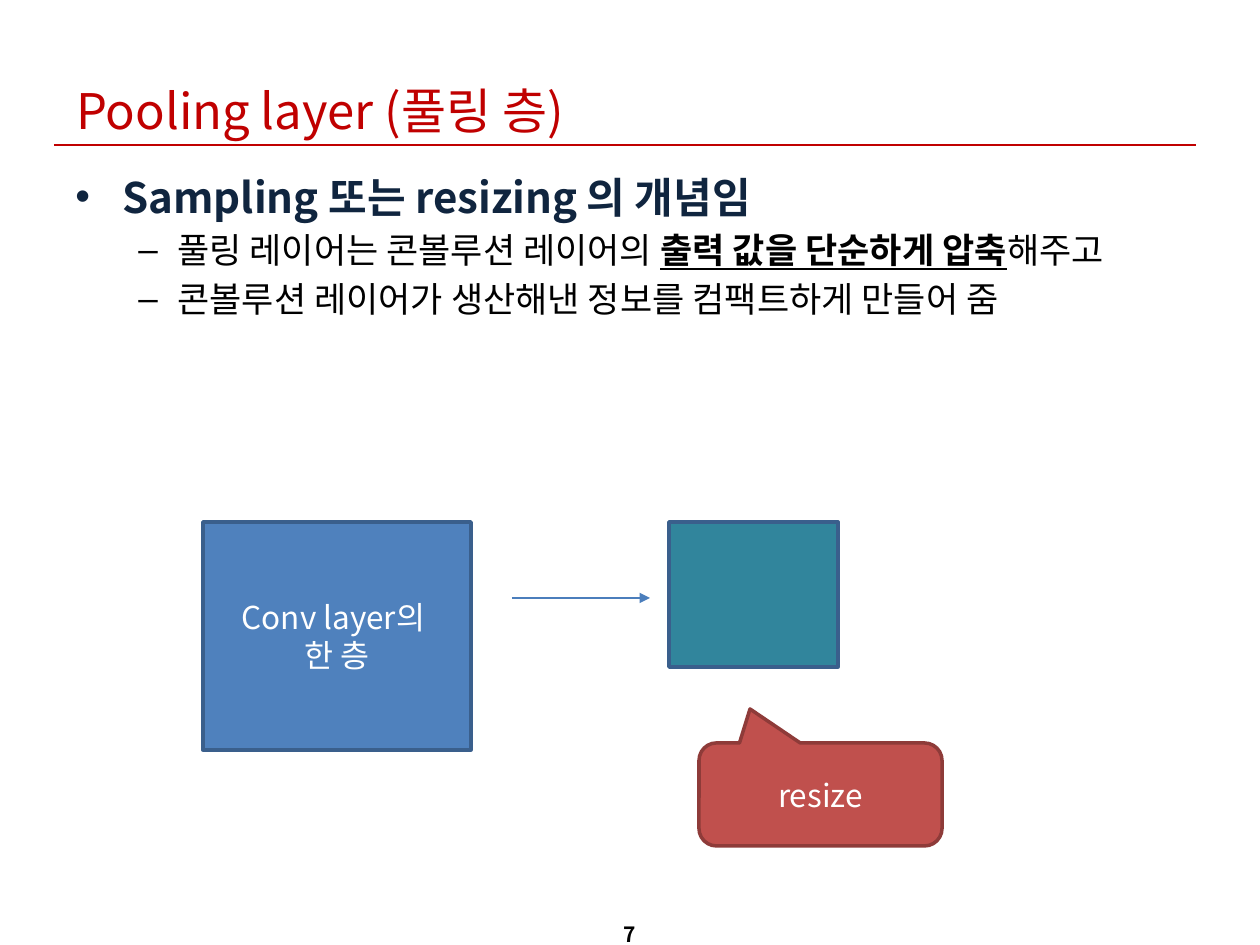
from dataclasses import dataclass

from pptx import Presentation, util as u
from pptx.dml.color import RGBColor
from pptx.enum import shapes, text
from pptx.oxml.ns import qn

SCALE = 914400 / 126  # EMU per px


@dataclass(frozen=True)
class Theme:
    font: str = "Noto Sans CJK KR"
    red: str = "C00000"
    navy: str = "10253F"
    black: str = "000000"
    white: str = "FFFFFF"
    blue: str = "4F81BD"
    blue_edge: str = "3A5F8C"
    arrow: str = "4B7EBC"
    teal: str = "31859C"
    brick: str = "C0504D"
    brick_edge: str = "8E3B39"
    title: int = 28
    heading: int = 24
    detail: int = 20
    label: int = 18
    number: int = 12
    edge: float = 2
    hairline: float = 0.75


def px(*lengths):
    return [u.Emu(round(length * SCALE)) for length in lengths]


def add_text(paragraph, words, *, size, color, font, bold=False, underline=False):
    run = paragraph.add_run()
    run.text = words
    run.font.size = u.Pt(size)
    run.font.name = font
    run.font.bold = bold
    run.font.underline = underline
    run.font.color.rgb = RGBColor.from_string(color)
    props = run._r.get_or_add_rPr()
    east_asian = props.makeelement(qn("a:ea"), {"typeface": font})
    props.find(qn("a:latin")).addnext(east_asian)


class SlideBuilder:
    def __init__(self, slide, theme):
        self.slide = slide
        self.theme = theme

    def words(self, paragraph, words, size, color, **format):
        add_text(paragraph, words, size=size, color=color, font=self.theme.font, **format)

    def text_box(self, box, anchor=text.MSO_ANCHOR.TOP):
        frame = self.slide.shapes.add_textbox(*px(*box)).text_frame
        frame.word_wrap = True
        frame.vertical_anchor = anchor
        return frame

    def bullet(self, paragraph, runs, size, color, mark, left, hang, level=0):
        paragraph.level = level
        paragraph.space_before = u.Pt(size * 0.2)
        props = paragraph._p.get_or_add_pPr()
        margin, indent = px(left, -hang)
        props.set("marL", str(margin))
        props.set("indent", str(indent))
        props.append(props.makeelement(qn("a:buFont"), {"typeface": "Arial"}))
        props.append(props.makeelement(qn("a:buChar"), {"char": mark}))
        for words, format in runs:
            self.words(paragraph, words, size, color, **format)

    def block(self, kind, box, fill, edge, lines=()):
        block = self.slide.shapes.add_shape(kind, *px(*box))
        block.shadow.inherit = False
        block.fill.solid()
        block.fill.fore_color.rgb = RGBColor.from_string(fill)
        block.line.color.rgb = RGBColor.from_string(edge)
        block.line.width = u.Pt(self.theme.edge)
        frame = block.text_frame
        frame.vertical_anchor = text.MSO_ANCHOR.MIDDLE
        for index, words in enumerate(lines):
            paragraph = frame.add_paragraph() if index else frame.paragraphs[0]
            paragraph.alignment = text.PP_ALIGN.CENTER
            self.words(paragraph, words, self.theme.label, self.theme.white)
        return block

    def line(self, start, end, color, arrow=False):
        line = self.slide.shapes.add_connector(
            shapes.MSO_CONNECTOR.STRAIGHT, *px(*start, *end))
        line.line.color.rgb = RGBColor.from_string(color)
        line.line.width = u.Pt(self.theme.hairline)
        props = line._element.spPr
        if arrow:
            stroke = props.find(qn("a:ln"))
            stroke.append(stroke.makeelement(qn("a:tailEnd"), {"type": "triangle"}))
        props.append(props.makeelement(qn("a:effectLst"), {}))


def main():
    deck = Presentation()
    deck.slide_width, deck.slide_height = px(1260, 945)
    theme = Theme()
    page = SlideBuilder(deck.slides.add_slide(deck.slide_layouts[6]), theme)

    # Title and rule
    page.line((54, 145), (1196, 145), theme.red)
    title = page.text_box((64, 37, 1131, 109), text.MSO_ANCHOR.BOTTOM)
    page.words(title.paragraphs[0], "Pooling layer (풀링 층)", theme.title, theme.red)

    # Explanation
    explanation = page.text_box((63, 165, 1134, 711))
    page.bullet(explanation.paragraphs[0],
                [("Sampling 또는 resizing 의 개념임", {"bold": True})],
                theme.heading, theme.navy, "•", 47, 47)
    details = [
        [("풀링 레이어는 콘볼루션 레이어의 ", {}),
         ("출력 값을 단순하게 압축", {"bold": True, "underline": True}),
         ("해주고", {})],
        [("콘볼루션 레이어가 생산해낸 정보를 컴팩트하게 만들어 줌", {})],
    ]
    for runs in details:
        page.bullet(explanation.add_paragraph(), runs, theme.detail, theme.black,
                    "–", 102, 39, level=1)

    # Slide number
    number = page.text_box((483, 915, 294, 34)).paragraphs[0]
    number.alignment = text.PP_ALIGN.CENTER
    page.words(number, "7", theme.number, theme.black, bold=True)

    # Pooling diagram
    rectangle = shapes.MSO_SHAPE.RECTANGLE
    page.block(rectangle, (203, 522, 268, 228), theme.blue, theme.blue_edge,
               ["Conv layer의 ", "한 층"])
    page.line((512, 598), (650, 598), theme.arrow, arrow=True)
    page.block(rectangle, (669, 522, 169, 145), theme.teal, theme.blue_edge)
    resize = page.block(shapes.MSO_SHAPE.ROUNDED_RECTANGULAR_CALLOUT,
                        (699, 743, 243, 103), theme.brick, theme.brick_edge, ["resize"])
    for index, value in enumerate((-0.29, -0.83, 0.17)):
        resize.adjustments[index] = value

    deck.save("out.pptx")


if __name__ == "__main__":
    main()
